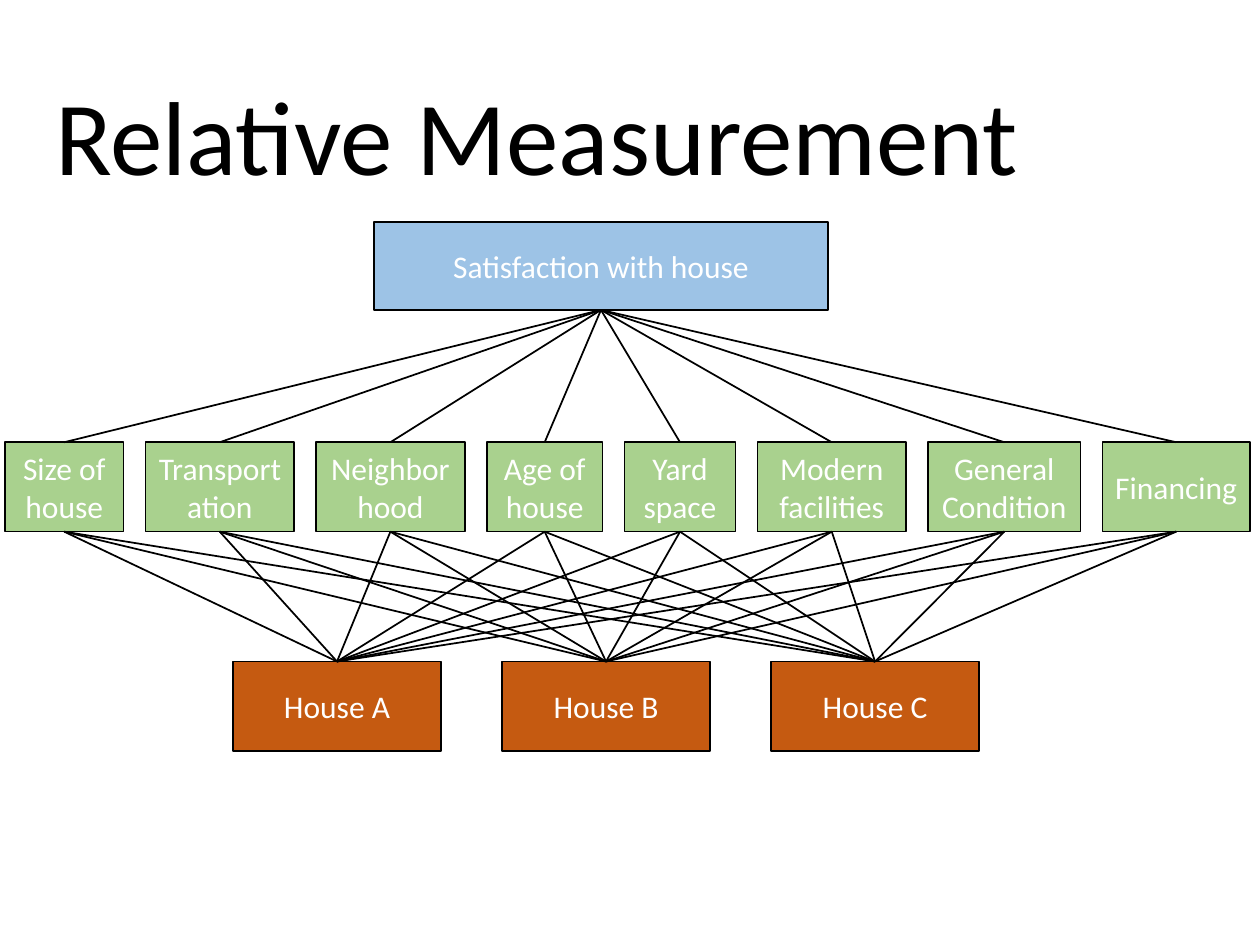
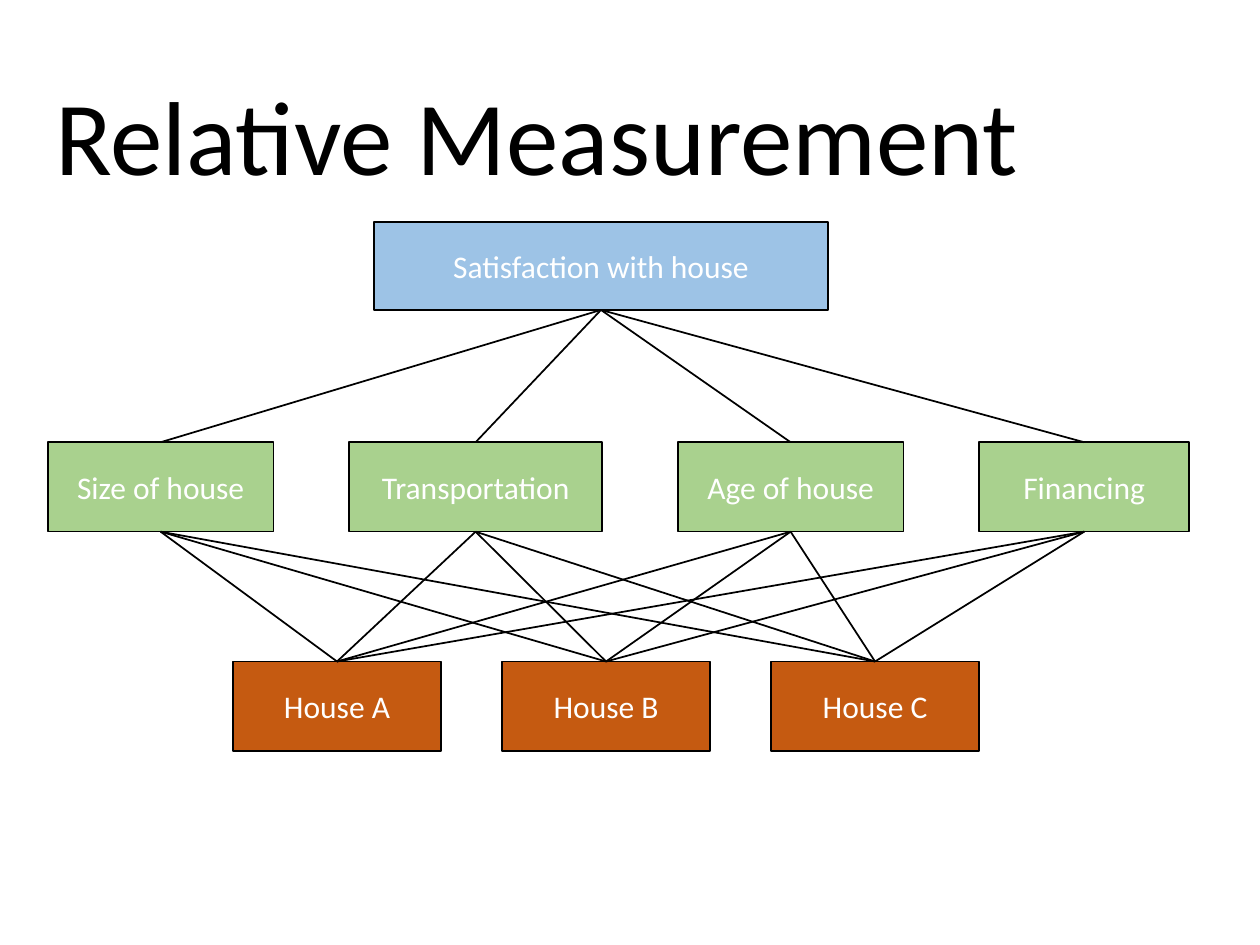
from itertools import pairwise, product

from lxml.etree import SubElement
from pptx import Presentation
from pptx.dml.color import RGBColor
from pptx.enum.shapes import MSO_CONNECTOR, MSO_SHAPE
from pptx.enum.text import MSO_ANCHOR, PP_ALIGN
from pptx.oxml.ns import qn
from pptx.util import Inches, Pt

TITLE = "Relative Measurement"
GOAL = [("Satisfaction with house", 3.6)]
HOUSES = [(f"House {letter}", 1.65) for letter in "ABC"]

# Per slide: left and right edge of the criteria row, then (label, width)
CRITERIA = [
    (0.04, 9.92, [
        ("Size of house", 0.94),
        ("Transportation", 1.18),
        ("Neighborhood", 1.18),
        ("Age of house", 0.92),
        ("Yard space", 0.88),
        ("Modern facilities", 1.18),
        ("General Condition", 1.21),
        ("Financing", 1.17),
    ]),
    (0.38, 9.44, [
        ("Size of house", 1.79),
        ("Transportation", 2.01),
        ("Age of house", 1.79),
        ("Financing", 1.67),
    ]),
]

COLORS = {
    "goal": "9DC3E6",
    "criterion": "A9D18E",
    "house": "C55A11",
    "line": "000000",
    "title": "000000",
    "label": "FFFFFF",
}
TITLE_FONT = {"name": "Calibri", "size": Pt(60)}
LABEL_FONT = {"name": "Calibri", "size": Pt(18)}
FRAME = {
    "word_wrap": True,
    "vertical_anchor": MSO_ANCHOR.MIDDLE,
    "margin_left": Inches(0.09),
    "margin_right": Inches(0.09),
}
TOP_SITE, BOTTOM_SITE = 0, 2


def color(name):
    return RGBColor.from_string(COLORS[name])


def set_all(target, values):
    for name, value in values.items():
        setattr(target, name, value)


def write(shape, text, font, color_name, **paragraph_format):
    tf = shape.text_frame
    set_all(tf, FRAME)
    p = tf.paragraphs[0]
    set_all(p, paragraph_format)
    r = p.add_run()
    r.text = text
    set_all(r.font, font)
    r.font.color.rgb = color(color_name)


def outline(shape):
    shape.line.color.rgb = color("line")
    shape.line.width = Pt(1)


def add_title(s):
    box = s.shapes.add_textbox(Inches(0.34), Inches(0.4), Inches(8.62), Inches(1.45))
    write(box, TITLE, TITLE_FONT, "title", line_spacing=0.9)
    box.text_frame.margin_left = Inches(0.1)


def add_row(s, items, left, right, top, height, fill):
    """Spread boxes between left and right with equal gaps."""
    spare = right - left - sum(width for _, width in items)
    gap = spare / max(len(items) - 1, 1)
    boxes = []
    for label, width in items:
        sp = s.shapes.add_shape(MSO_SHAPE.RECTANGLE, Inches(left), Inches(top),
                                Inches(width), Inches(height))
        sp.shadow.inherit = False
        sp.fill.solid()
        sp.fill.fore_color.rgb = color(fill)
        outline(sp)
        write(sp, label, LABEL_FONT, "label", alignment=PP_ALIGN.CENTER)
        boxes.append(sp)
        left += width + gap
    return boxes


def link_rows(s, upper, lower):
    """Join every upper box to every lower box."""
    for start, end in product(upper, lower):
        line = s.shapes.add_connector(MSO_CONNECTOR.STRAIGHT, 0, 0, 0, 0)
        line.begin_connect(start, BOTTOM_SITE)
        line.end_connect(end, TOP_SITE)
        outline(line)
        SubElement(line._element.spPr, qn("a:effectLst"))


def main():
    prs = Presentation()
    prs.slide_width, prs.slide_height = Inches(10), Inches(7.5)
    for left, right, criteria in CRITERIA:
        s = prs.slides.add_slide(prs.slide_layouts[6])
        add_title(s)
        rows = [
            add_row(s, GOAL, 2.97, 6.57, 1.76, 0.7, "goal"),
            add_row(s, criteria, left, right, 3.51, 0.71, "criterion"),
            add_row(s, HOUSES, 1.85, 7.77, 5.25, 0.71, "house"),
        ]
        for upper, lower in pairwise(rows):
            link_rows(s, upper, lower)
    prs.save("out.pptx")


if __name__ == "__main__":
    main()
